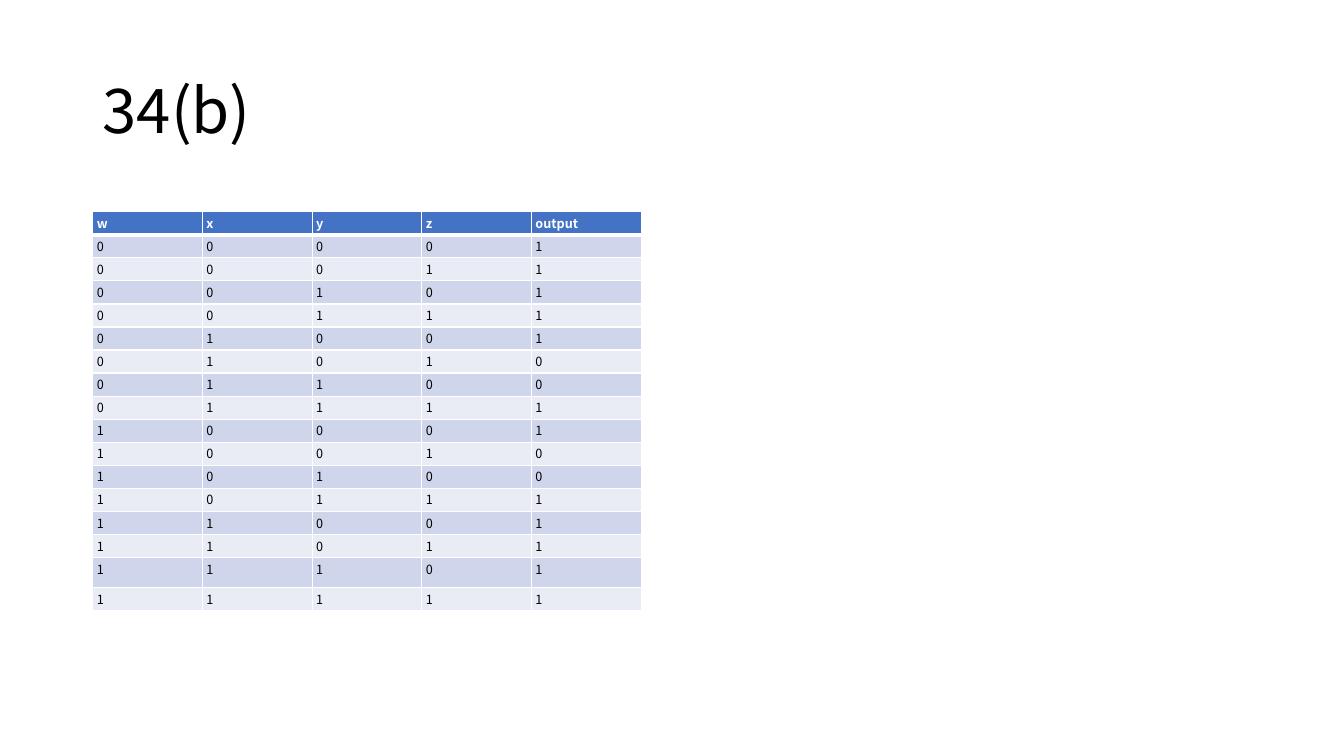
import itertools

import lxml.etree
import pptx
import pptx.dml.color
import pptx.enum.text
import pptx.oxml.ns
import pptx.util
from pptx.util import Inches

COLORS = {"black": "000000", "white": "FFFFFF", "header": "4472C4",
          "odd": "CFD5EA", "even": "E9EBF5"}
FONT = "Noto Sans CJK SC"
HEADINGS = ["w", "x", "y", "z", "output"]
OUTPUTS = "1111100110011111"
TABLE_WIDTH, TABLE_HEIGHT = Inches(5.44), Inches(3.96)
TALL_ROW, TALL_HEIGHT = 15, Inches(0.3)


def add_run(p, text, size, color, bold=False):
    r = p.add_run()
    r.text = text
    r.font.name = FONT
    r.font.size = pptx.util.Pt(size)
    r.font.bold = bold
    r.font.color.rgb = pptx.dml.color.RGBColor.from_string(COLORS[color])
    # East Asian typeface keeps the same font for every script
    ea = lxml.etree.SubElement(r.font._element, pptx.oxml.ns.qn("a:ea"))
    ea.set("typeface", FONT)


def add_border(cell, side, width):
    """Draw a white border on one side (L, R, T or B), width in points."""
    qn = pptx.oxml.ns.qn
    ln = lxml.etree.SubElement(cell._tc.get_or_add_tcPr(), qn("a:ln" + side))
    ln.set("w", str(pptx.util.Pt(width)))
    fill = lxml.etree.SubElement(ln, qn("a:solidFill"))
    lxml.etree.SubElement(fill, qn("a:srgbClr")).set("val", COLORS["white"])


prs = pptx.Presentation()
prs.slide_width = Inches(13.33)
prs.slide_height = Inches(7.5)
s = prs.slides.add_slide(prs.slide_layouts[6])

# Title
title = s.shapes.add_textbox(Inches(0.92), Inches(0.4), Inches(11.5), Inches(1.45))
tf = title.text_frame
tf.word_wrap = True
tf.vertical_anchor = pptx.enum.text.MSO_ANCHOR.MIDDLE
p = tf.paragraphs[0]
p.line_spacing = 0.9
add_run(p, "34(b)", 44, "black")

# Truth table: every combination of the four inputs, then the output
inputs = itertools.product("01", repeat=4)
rows = [HEADINGS] + [[*bits, out] for bits, out in zip(inputs, OUTPUTS)]
frame = s.shapes.add_table(len(rows), len(HEADINGS), Inches(0.92), Inches(2.1),
                           TABLE_WIDTH, TABLE_HEIGHT)
table = frame.table
for column in table.columns:
    column.width = TABLE_WIDTH // len(HEADINGS)
for row in table.rows:
    row.height = (TABLE_HEIGHT - TALL_HEIGHT) // (len(rows) - 1)
table.rows[TALL_ROW].height = TALL_HEIGHT

for i, values in enumerate(rows):
    is_header = i == 0
    band = "header" if is_header else "odd" if i % 2 else "even"
    widths = {"L": 1, "R": 1, "T": 3 if i == 1 else 1, "B": 3 if is_header else 1}
    for j, value in enumerate(values):
        cell = table.cell(i, j)
        cell.margin_left = cell.margin_right = Inches(0.04)
        cell.margin_top = cell.margin_bottom = Inches(0.02)
        for side, width in widths.items():
            add_border(cell, side, width)
        cell.fill.solid()
        cell.fill.fore_color.rgb = pptx.dml.color.RGBColor.from_string(COLORS[band])
        add_run(cell.text_frame.paragraphs[0], value, 9,
                "white" if is_header else "black", is_header)

prs.save("out.pptx")
